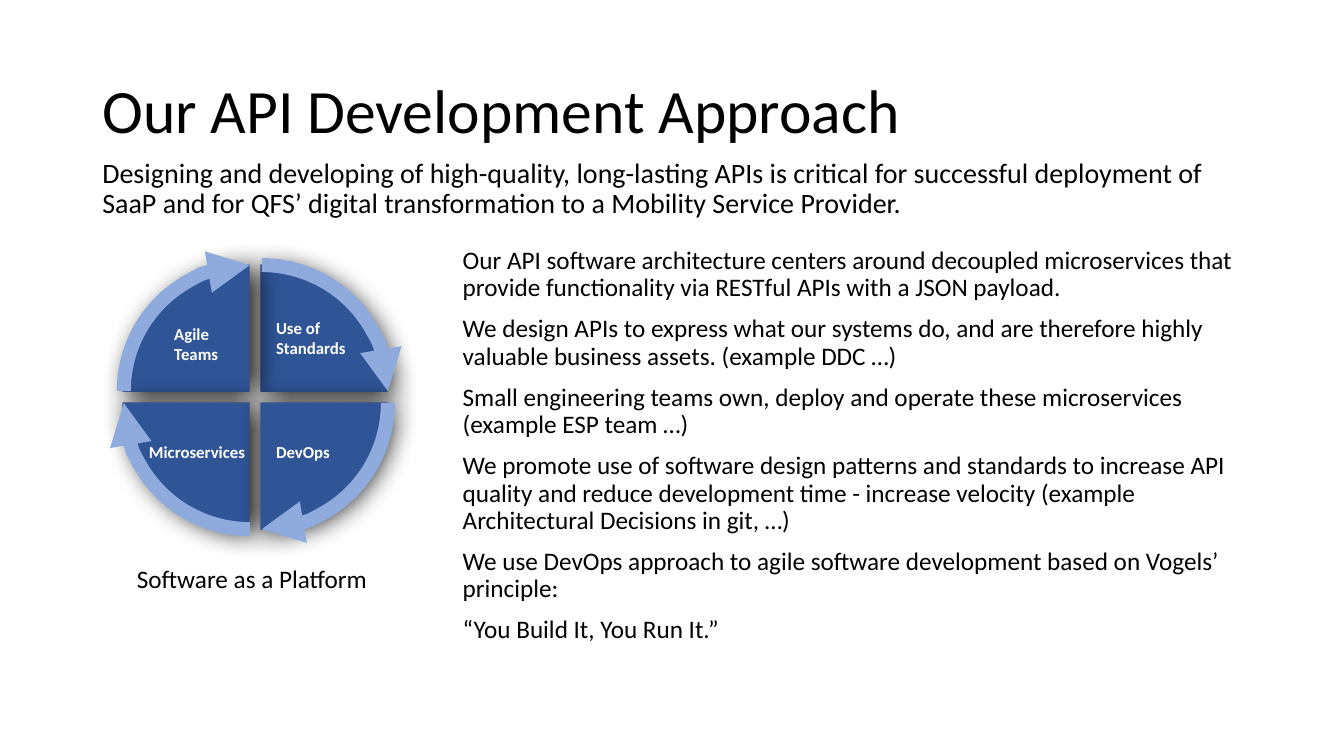
from pptx import Presentation
from pptx.dml.color import RGBColor
from pptx.enum.shapes import MSO_SHAPE
from pptx.enum.text import MSO_ANCHOR, MSO_AUTO_SIZE
from pptx.oxml import parse_xml
from pptx.oxml.ns import nsdecls, qn
from pptx.util import Inches, Pt

BLACK = RGBColor(0x00, 0x00, 0x00)
WHITE = RGBColor(0xFF, 0xFF, 0xFF)
NAVY = RGBColor(0x2F, 0x55, 0x97)
EDGE = RGBColor(0x32, 0x54, 0x91)
SKY = RGBColor(0x8F, 0xAA, 0xDC)

deck = Presentation()
deck.slide_width, deck.slide_height = Inches(13.333), Inches(7.5)
slide = deck.slides.add_slide(deck.slide_layouts[6])
CELL = deck.slide_height / 90  # the slide is a grid of 160 columns by 90 rows


def add_text(text, box, size, color=BLACK, bold=False, gap=0, lines=1, wrap=True):
    """Place a text box, given in grid cells, with one paragraph per line."""
    frame = slide.shapes.add_textbox(*[round(n * CELL) for n in box]).text_frame
    frame.word_wrap = wrap
    frame.auto_size = MSO_AUTO_SIZE.NONE if wrap else MSO_AUTO_SIZE.SHAPE_TO_FIT_TEXT
    frame.text = text
    for i, para in enumerate(frame.paragraphs):
        para.line_spacing = lines
        para.space_before = Pt(gap if i else 0)
        para.font.name, para.font.size = "Calibri", Pt(size)
        para.font.bold, para.font.color.rgb = bold, color
    return frame


def add_part(kind, left, top, flip_h, flip_v):
    """Place one mirrored quarter of the wheel."""
    part = slide.shapes.add_shape(
        kind, *[round(n * CELL) for n in (left, top, SIZE, SIZE)])
    part.shadow.inherit = False
    xfrm = part._element.spPr.find(qn("a:xfrm"))
    xfrm.set("flipH", str(int(flip_h)))
    xfrm.set("flipV", str(int(flip_v)))
    return part


# Heading and body
title = add_text("Our API Development Approach", (11, 4.8, 138, 17.4), 44, lines=0.9)
title.vertical_anchor = MSO_ANCHOR.MIDDLE
add_text("Designing and developing of high-quality, long-lasting APIs is critical for "
         "successful deployment of SaaP and for QFS’ digital transformation to a "
         "Mobility Service Provider.", (11, 18.4, 135.4, 10.4), 20, lines=0.9)
POINTS = [
    "Our API software architecture centers around decoupled microservices that "
    "provide functionality via RESTful APIs with a JSON payload.",
    "We design APIs to express what our systems do, and are therefore highly "
    "valuable business assets. (example DDC …)",
    "Small engineering teams own, deploy and operate these microservices "
    "(example ESP team …)",
    "We promote use of software design patterns and standards to increase API "
    "quality and reduce development time - increase velocity (example "
    "Architectural Decisions in git, …)",
    "We use DevOps approach to agile software development based on Vogels’ principle:",
    "“You Build It, You Run It.”",
]
add_text("\n".join(POINTS), (53.9, 28.9, 95.2, 57.1), 18, gap=10, lines=0.9)

# Wheel: four quarters, each set apart by one gap
LEFT, TOP, SIZE, GAP = 14.64, 31.56, 30, 1.44
QUARTERS = [(1, 0), (0, 0), (0, 1), (1, 1)]  # right, low

for right, low in QUARTERS:
    pie = add_part(MSO_SHAPE.PIE, LEFT + right * GAP, TOP + low * GAP, right, low)
    pie.adjustments[0], pie.adjustments[1] = 108, 162
    pie.fill.solid()
    pie.fill.fore_color.rgb = NAVY
    pie.line.color.rgb, pie.line.width = EDGE, Pt(1)
    glow = parse_xml(
        f'<a:outerShdw {nsdecls("a")} blurRad="{Pt(20)}" dist="{Pt(4)}" dir="1800000" '
        'algn="ctr" rotWithShape="0"><a:srgbClr val="000000"/></a:outerShdw>')
    pie._element.spPr.find(qn("a:effectLst")).append(glow)

for right, low in QUARTERS:
    arc = add_part(MSO_SHAPE.ARC, LEFT + 0.1 + right * GAP, TOP + low * GAP,
                   not right, low)
    arc.fill.background()
    arc.line.color.rgb, arc.line.width = SKY, Pt(10)
    end = "headEnd" if right == low else "tailEnd"
    arc.line._get_or_add_ln().append(
        parse_xml(f'<a:{end} {nsdecls("a")} type="triangle"/>'))

LABELS = [
    ("Agile\nTeams", (19.56, 37.92, 7.7, 6)),
    ("Use of\nStandards", (31.68, 37.2, 11.3, 6)),
    ("DevOps", (31.68, 51.96, 9.4, 3.6)),
    ("Microservices", (16.56, 51.96, 14.4, 3.6)),
]
for label, box in LABELS:
    add_text(label, box, 12, WHITE, bold=True, wrap=False)
add_text("Software as a Platform", (15.12, 66.48, 30.96, 4.8), 18, wrap=False)

deck.save("out.pptx")
